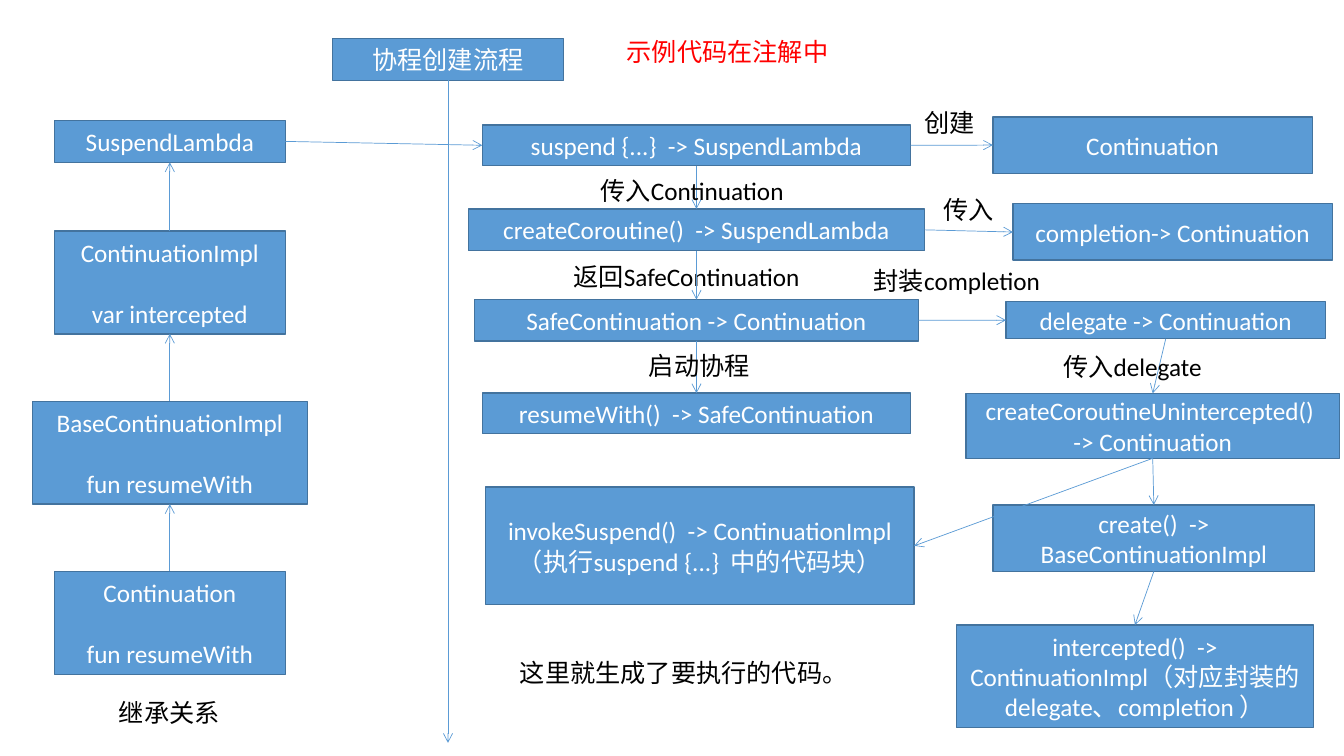
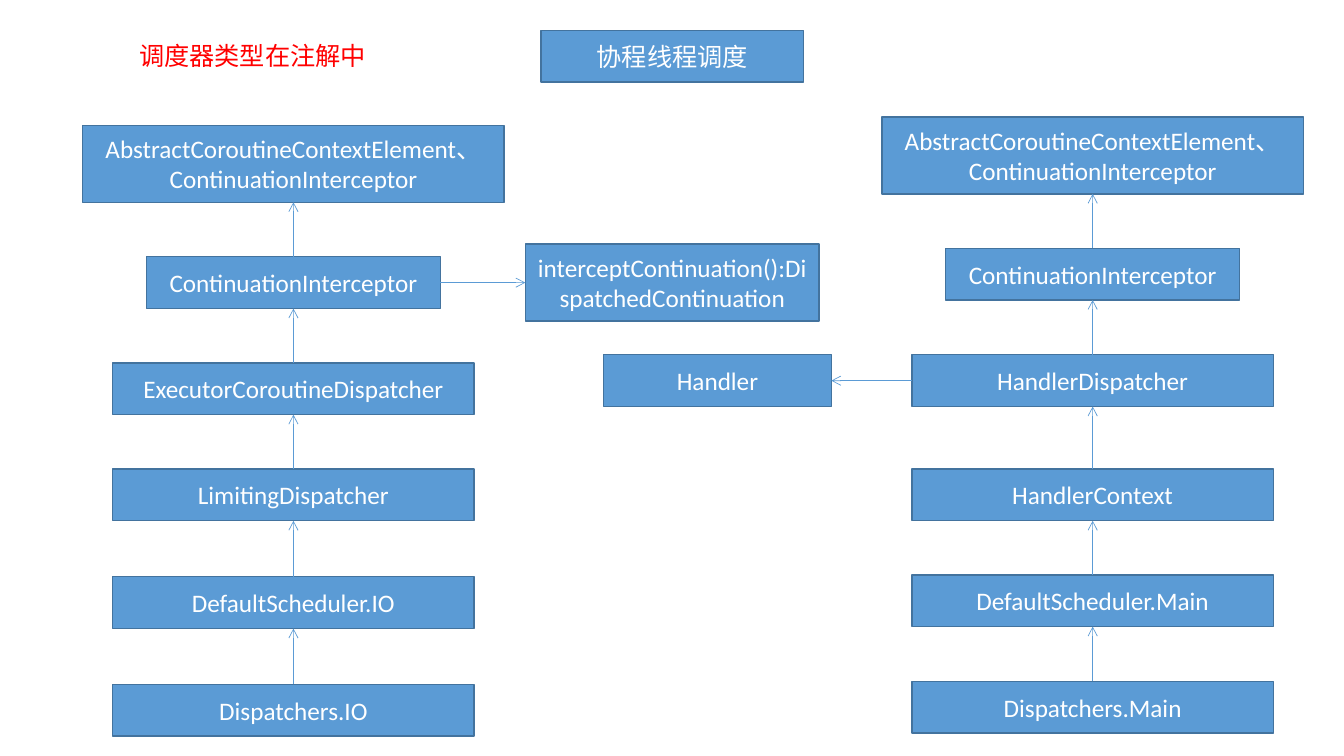
from enum import IntEnum

from lxml import etree
from pptx import Presentation
from pptx.dml.color import RGBColor
from pptx.enum import shapes, text
from pptx.oxml import ns
from pptx.util import Pt

FILL, EDGE = "5B9BD5", "43739E"
WHITE, BLACK, RED = "FFFFFF", "000000", "FF0000"
FONT, SIZE = "Calibri", 18
LINE_GAP = 22  # height of one skipped line inside a box


class Side(IntEnum):
    """Connection sites of a rectangle."""
    TOP = 0
    LEFT = 1
    BOTTOM = 2
    RIGHT = 3


def rgb(code):
    """Turn a hex string into a colour."""
    return RGBColor.from_string(code)


def write(frame, wording, color, align, gap=0):
    """Fill a text frame, one paragraph a line, with a gap between lines."""
    frame.text = wording
    for index, paragraph in enumerate(frame.paragraphs):
        paragraph.alignment = align
        paragraph.font.name = FONT
        paragraph.font.size = Pt(SIZE)
        paragraph.font.color.rgb = rgb(color)
        if index and gap:
            paragraph.space_before = Pt(gap)


def box(slide, wording, center, top, width, height, gap=0):
    """Draw a blue box around a horizontal centre."""
    shape = slide.shapes.add_shape(
        shapes.MSO_SHAPE.RECTANGLE,
        Pt(center - width / 2), Pt(top), Pt(width), Pt(height))
    shape.shadow.inherit = False
    shape.fill.solid()
    shape.fill.fore_color.rgb = rgb(FILL)
    shape.line.color.rgb = rgb(EDGE)
    shape.line.width = Pt(1)
    shape.text_frame.vertical_anchor = text.MSO_ANCHOR.MIDDLE
    write(shape.text_frame, wording, WHITE, text.PP_ALIGN.CENTER, gap)
    return shape


def label(slide, wording, left, top, width, color=BLACK):
    """Place a free line of text."""
    frame = slide.shapes.add_textbox(
        Pt(left), Pt(top), Pt(width), Pt(29)).text_frame
    frame.word_wrap = False
    frame.auto_size = text.MSO_AUTO_SIZE.SHAPE_TO_FIT_TEXT
    write(frame, wording, color, text.PP_ALIGN.LEFT)


def arrow(slide, start, start_side, end, end_side):
    """Join two boxes by an arrow and return it."""
    link = slide.shapes.add_connector(
        shapes.MSO_CONNECTOR.STRAIGHT, 0, 0, 0, 0)
    link.begin_connect(start, start_side)
    if end is not None:
        link.end_connect(end, end_side)
    link.line.color.rgb = rgb(FILL)
    link.line.width = Pt(0.5)
    etree.SubElement(link.line._get_or_add_ln(), ns.qn("a:tailEnd"), type="arrow")
    etree.SubElement(link._element.spPr, ns.qn("a:effectLst"))
    return link


def down(slide, upper, lower):
    """Point from a box to the one below it."""
    arrow(slide, upper, Side.BOTTOM, lower, Side.TOP)


def across(slide, left, right):
    """Point from a box to the one on its right."""
    arrow(slide, left, Side.RIGHT, right, Side.LEFT)


def hierarchy(slide, center, rows, gap=0):
    """Stack boxes from parent to child, each child pointing up."""
    stack = [box(slide, wording, center, top, width, height, gap)
             for wording, top, width, height in rows]
    for parent, child in zip(stack, stack[1:]):
        arrow(slide, child, Side.TOP, parent, Side.BOTTOM)
    return stack


def creation_slide(slide):
    """Show how a coroutine is created."""
    title = box(slide, "协程创建流程", 320, 27.4, 165, 30)
    timeline = arrow(slide, title, Side.BOTTOM, None, None)
    timeline.end_x, timeline.end_y = Pt(320), Pt(530.6)

    suspend_lambda = hierarchy(slide, 121.3, [
        ("SuspendLambda", 86, 165, 30),
        ("ContinuationImpl\nvar intercepted", 165, 165, 73.5),
        ("BaseContinuationImpl\nfun resumeWith", 286.6, 196.5, 73.5),
        ("Continuation\nfun resumeWith", 408.2, 165, 73.5),
    ], LINE_GAP)[0]

    main_x = 497.5
    suspend = box(slide, "suspend {...}  -> SuspendLambda", main_x, 89.3, 306, 29)
    create_coroutine = box(
        slide, "createCoroutine()  -> SuspendLambda", main_x, 149.2, 326, 30)
    label(slide, "返回SafeContinuation", 402.5, 182.9, 189.4)
    safe = box(slide, "SafeContinuation -> Continuation", main_x, 214, 317, 29.5)
    resume = box(slide, "resumeWith()  -> SafeContinuation", main_x, 280.8, 306, 29)
    invoke = box(
        slide, "invokeSuspend()  -> ContinuationImpl（执行suspend {...}  中的代码块）",
        500, 347.8, 306, 84.2)

    continuation = box(slide, "Continuation", 823.3, 83.5, 228.2, 40.3)
    completion = box(slide, "completion-> Continuation", 837.7, 145.6, 228.2, 40.3)
    delegate = box(slide, "delegate -> Continuation", 832.7, 215.4, 228.2, 26.6)
    unintercepted = box(
        slide, "createCoroutineUnintercepted()  -> Continuation",
        823.4, 281, 267, 46.4)
    create = box(
        slide, "create()  -> BaseContinuationImpl", 824.2, 360.7, 229.7, 47.5)
    intercepted = box(
        slide, "intercepted()  -> ContinuationImpl（对应封装的delegate、completion ）",
        810.7, 446.4, 255, 73.4)

    for upper, lower in [
            (suspend, create_coroutine), (create_coroutine, safe),
            (safe, resume), (delegate, unintercepted),
            (unintercepted, create), (create, intercepted)]:
        down(slide, upper, lower)
    for left, right in [
            (suspend_lambda, suspend), (suspend, continuation),
            (create_coroutine, completion), (safe, delegate)]:
        across(slide, left, right)
    arrow(slide, unintercepted, Side.BOTTOM, invoke, Side.RIGHT)

    for wording, left, top, width in [
            ("传入Continuation", 421.9, 121.7, 153.4),
            ("启动协程", 456.5, 247, 86.4),
            ("创建", 653, 73.4, 50.4),
            ("传入", 666.7, 135.4, 50.4),
            ("封装completion", 617, 185.8, 140.4),
            ("传入delegate ", 752.4, 247.7, 124.6),
            ("这里就生成了要执行的代码。", 364.3, 465.8, 248.4),
            ("继承关系", 77.8, 494.6, 86.4)]:
        label(slide, wording, left, top, width)
    label(slide, "示例代码在注解中", 440.6, 22.3, 158.4, RED)


def dispatch_slide(slide):
    """Show how coroutines are dispatched to threads."""
    box(slide, "协程线程调度", 480.2, 21.6, 187.2, 37)
    label(slide, "调度器类型在注解中", 92.2, 25.2, 176.4, RED)

    root = "AbstractCoroutineContextElement、\nContinuationInterceptor"
    wide, row = 258, 37
    io_stack = hierarchy(slide, 209.6, [
        (root, 89.5, 301, 55),
        ("ContinuationInterceptor", 183.4, 210, row),
        ("ExecutorCoroutineDispatcher", 259.2, wide, row),
        ("LimitingDispatcher", 335, wide, row),
        ("DefaultScheduler.IO", 412, wide, row),
        ("Dispatchers.IO", 488.8, wide, row),
    ])
    main_stack = hierarchy(slide, 780.5, [
        (root, 83.5, 301, 55),
        ("ContinuationInterceptor", 177.3, 210, row),
        ("HandlerDispatcher", 253.4, wide, row),
        ("HandlerContext", 335, wide, row),
        ("DefaultScheduler.Main", 410.6, wide, row),
        ("Dispatchers.Main", 486.7, wide, row),
    ])

    dispatched = box(
        slide, "interceptContinuation():DispatchedContinuation",
        480.2, 174.4, 210, 55)
    handler = box(slide, "Handler", 512.5, 253.4, 162.7, row)
    across(slide, io_stack[1], dispatched)
    arrow(slide, main_stack[2], Side.LEFT, handler, Side.RIGHT)


def main():
    """Build and save the presentation."""
    deck = Presentation()
    deck.slide_width, deck.slide_height = Pt(960), Pt(540)
    for build in (creation_slide, dispatch_slide):
        build(deck.slides.add_slide(deck.slide_layouts[6]))
    deck.save("out.pptx")


main()
